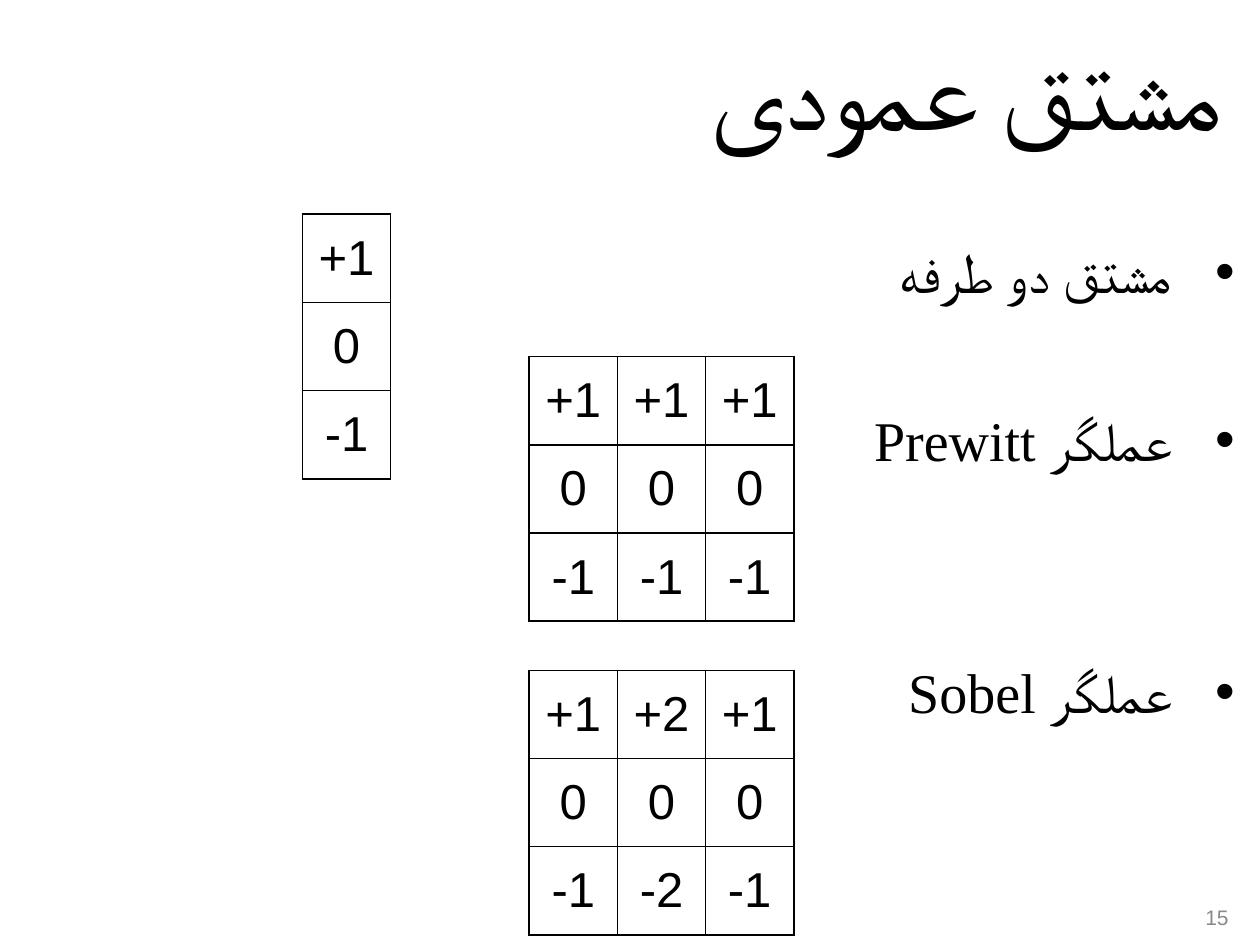
from dataclasses import dataclass

import pptx
import pptx.dml.color
import pptx.enum.text
import pptx.oxml
import pptx.oxml.ns
import pptx.util
from pptx.enum.text import MSO_ANCHOR, MSO_AUTO_SIZE, PP_ALIGN

PX = 9144  # EMU per px, at 100 px to the inch
CELL = 70  # side of one kernel cell, px


@dataclass(frozen=True)
class Theme:
    ink: str = "000000"
    muted: str = "898989"
    title_font: str = "Calibri"
    body_font: str = "Times New Roman"
    kernel_font: str = "Arial"
    title_size: int = 65
    body_size: int = 32
    kernel_size: int = 28
    number_size: int = 12
    border_pt: int = 1


@dataclass(frozen=True)
class Kernel:
    left: int
    top: int
    rows: tuple[tuple[str, ...], ...]


@dataclass(frozen=True)
class Topic:
    text: str
    space_before: int


THEME = Theme()

TOPICS = (
    Topic("مشتق دو طرفه", 0),
    Topic("عملگر Prewitt", 48),
    Topic("عملگر Sobel", 96),
)

KERNELS = (
    Kernel(420, 283, (("+1",) * 3, ("0",) * 3, ("-1",) * 3)),  # Prewitt
    Kernel(420, 532, (("+1", "+2", "+1"), ("0",) * 3, ("-1", "-2", "-1"))),  # Sobel
    Kernel(240, 170, (("+1",), ("0",), ("-1",))),  # two-sided derivative
)


def px(length: int) -> pptx.util.Emu:
    return pptx.util.Emu(length * PX)


def place(shape, left: int, top: int, width: int, height: int) -> None:
    shape.left, shape.top = px(left), px(top)
    shape.width, shape.height = px(width), px(height)


def style_runs(paragraph, font: str, size: int, color: str) -> None:
    for run in paragraph.runs:
        run.font.name = font
        run.font.size = pptx.util.Pt(size)
        run.font.color.rgb = pptx.dml.color.RGBColor.from_string(color)
        complex_script = pptx.oxml.parse_xml(
            f'<a:cs {pptx.oxml.ns.nsdecls("a")} typeface="{font}"/>')
        run.font._element.append(complex_script)


def set_right_to_left(paragraph, margin: int, indent: int) -> None:
    paragraph.alignment = PP_ALIGN.JUSTIFY
    properties = paragraph._p.get_or_add_pPr()
    properties.set("marL", str(px(margin)))
    properties.set("indent", str(px(indent)))
    properties.set("rtl", "1")


def set_borders(cell) -> None:
    properties = cell._tc.get_or_add_tcPr()
    width = pptx.util.Pt(THEME.border_pt)
    for position, side in enumerate(("lnL", "lnR", "lnT", "lnB")):
        properties.insert(position, pptx.oxml.parse_xml(
            f'<a:{side} {pptx.oxml.ns.nsdecls("a")} w="{width}"><a:solidFill>'
            f'<a:srgbClr val="{THEME.ink}"/></a:solidFill></a:{side}>'))


def draw_kernel(slide, kernel: Kernel) -> None:
    row_count, column_count = len(kernel.rows), len(kernel.rows[0])
    grid = slide.shapes.add_table(
        row_count, column_count, px(kernel.left), px(kernel.top),
        px(column_count * CELL), px(row_count * CELL)).table
    grid.first_row = grid.horz_banding = False
    for row, weights in enumerate(kernel.rows):
        for column, weight in enumerate(weights):
            cell = grid.cell(row, column)
            cell.fill.background()
            set_borders(cell)
            cell.vertical_anchor = MSO_ANCHOR.MIDDLE
            cell.text_frame.text = weight
            paragraph = cell.text_frame.paragraphs[0]
            paragraph.alignment = PP_ALIGN.CENTER
            style_runs(paragraph, THEME.kernel_font, THEME.kernel_size, THEME.ink)


def draw_title(slide) -> None:
    heading = slide.shapes.title
    place(heading, -2, 5, 1002, 125)
    frame = heading.text_frame
    frame.text = "مشتق عمودی"
    frame.auto_size = MSO_AUTO_SIZE.NONE
    frame.vertical_anchor = MSO_ANCHOR.MIDDLE
    set_right_to_left(frame.paragraphs[0], 20, 0)
    style_runs(frame.paragraphs[0], THEME.title_font, THEME.title_size, THEME.ink)


def draw_topics(slide) -> None:
    operators = slide.placeholders[1]
    place(operators, 8, 170, 982, 414)
    frame = operators.text_frame
    frame.text = "\n".join(topic.text for topic in TOPICS)
    frame.auto_size = MSO_AUTO_SIZE.SHAPE_TO_FIT_TEXT
    for paragraph, topic in zip(frame.paragraphs, TOPICS):
        set_right_to_left(paragraph, 50, -50)
        paragraph.line_spacing = 1.25
        paragraph.space_before = pptx.util.Pt(topic.space_before)
        style_runs(paragraph, THEME.body_font, THEME.body_size, THEME.ink)


def draw_page_number(slide) -> None:
    page_number = slide.shapes.add_textbox(px(752), px(708), px(233), px(40))
    frame = page_number.text_frame
    frame.word_wrap = True
    frame.vertical_anchor = MSO_ANCHOR.MIDDLE
    frame.text = "15"
    frame.paragraphs[0].alignment = PP_ALIGN.RIGHT
    style_runs(frame.paragraphs[0], THEME.kernel_font, THEME.number_size, THEME.muted)


def main() -> None:
    presentation = pptx.Presentation()
    presentation.slide_width, presentation.slide_height = px(1000), px(750)
    slide = presentation.slides.add_slide(presentation.slide_layouts[1])

    # Heading, page number and list of operators
    draw_title(slide)
    draw_page_number(slide)
    draw_topics(slide)

    # Derivative kernels
    for kernel in KERNELS:
        draw_kernel(slide, kernel)

    presentation.save("out.pptx")


if __name__ == "__main__":
    main()
